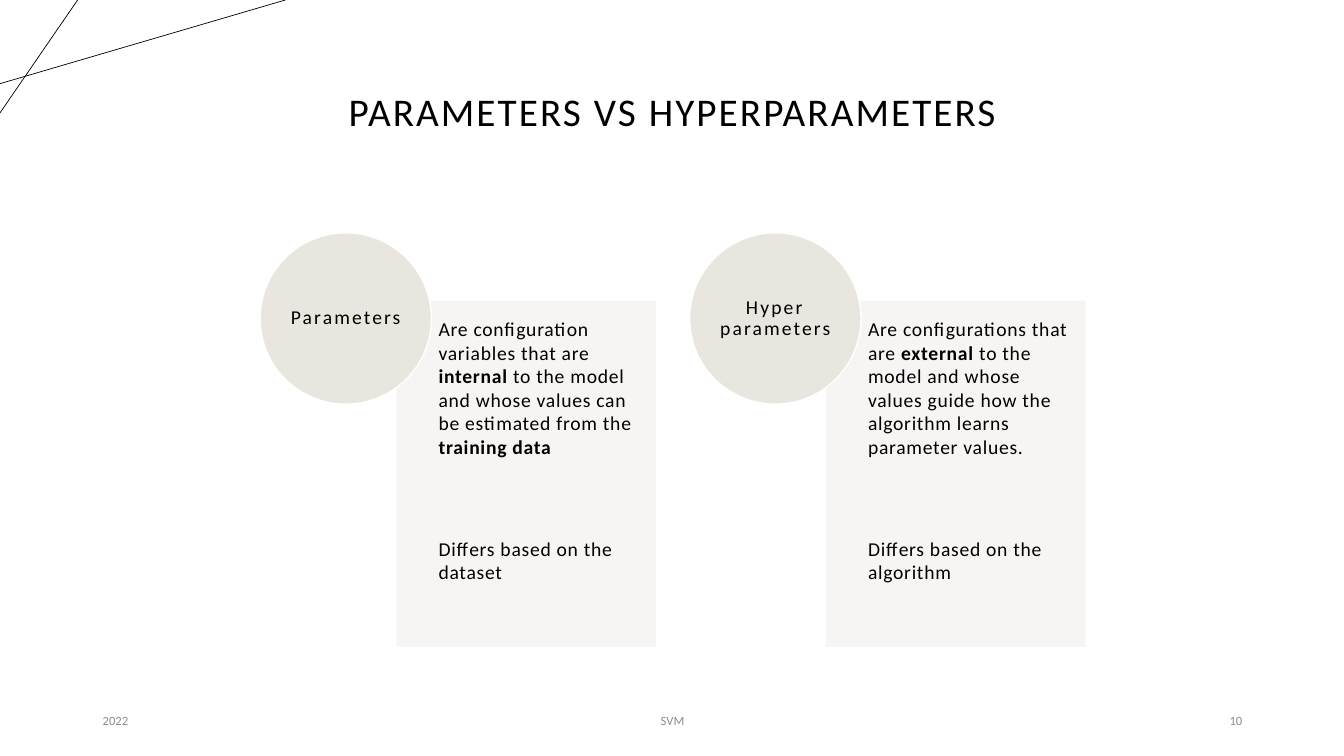
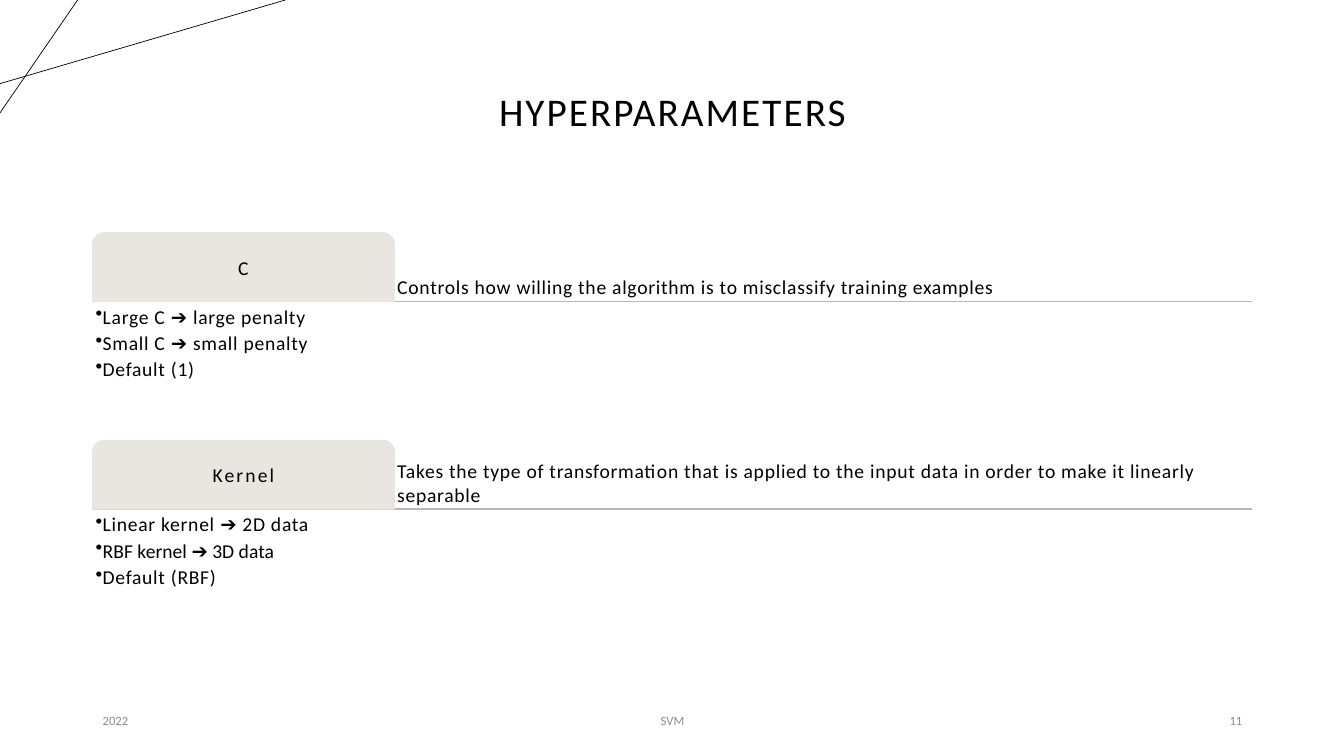
from lxml import etree
from pptx import Presentation
from pptx.dml.color import RGBColor
from pptx.enum.shapes import MSO_CONNECTOR, MSO_SHAPE
from pptx.enum.text import MSO_ANCHOR, PP_ALIGN
from pptx.oxml.ns import qn
from pptx.util import Inches, Pt

STRAIGHT = MSO_CONNECTOR.STRAIGHT
RECTANGLE, OVAL = MSO_SHAPE.RECTANGLE, MSO_SHAPE.OVAL
TAB = MSO_SHAPE.ROUND_2_SAME_RECTANGLE
TOP, MIDDLE, BOTTOM = MSO_ANCHOR.TOP, MSO_ANCHOR.MIDDLE, MSO_ANCHOR.BOTTOM
LEFT, CENTER, RIGHT = PP_ALIGN.LEFT, PP_ALIGN.CENTER, PP_ALIGN.RIGHT

BLACK = RGBColor(0x00, 0x00, 0x00)
WHITE = RGBColor(0xFF, 0xFF, 0xFF)
GRAY = RGBColor(0x8C, 0x8C, 0x8C)
RULE = RGBColor(0xBB, 0xB8, 0xB3)
SAND = RGBColor(0xE9, 0xE6, 0xDF)
PALE = RGBColor(0xF7, 0xF5, 0xF3)

FONT = "Calibri"
BODY_SIZE = 14
BODY_SPACING, LABEL_SPACING = 0.5, 1.5
MARGIN, CONTENT_WIDTH = 0.92, 11.5
CONTENT_TOP = 2.31
TEXT_INSETS = (0.03, 0.03, 0.03, 0.03)
DEFAULT_INSETS = (0.1, 0.05, 0.1, 0.05)


def format_run(run, size, color, spacing, bold=False):
    """Apply font, size, colour and letter spacing to a run."""
    run.font.name = FONT
    run.font.size = Pt(size)
    run.font.color.rgb = color
    run.font.bold = bold
    run.font._element.set("spc", str(round(spacing * 100)))


def write_paragraph(paragraph, text, size=BODY_SIZE, color=BLACK, spacing=BODY_SPACING,
                    align=LEFT, line_spacing=1.0):
    """Write one paragraph, with the parts between asterisks in bold."""
    paragraph.alignment = align
    paragraph.line_spacing = line_spacing
    for index, part in enumerate(text.split("*")):
        if part:
            run = paragraph.add_run()
            run.text = part
            format_run(run, size, color, spacing, bold=index % 2 == 1)


def prepare_frame(shape, anchor, insets):
    """Set wrapping, anchor and insets, and return the text frame."""
    frame = shape.text_frame
    frame.word_wrap = True
    frame.vertical_anchor = anchor
    (frame.margin_left, frame.margin_top,
     frame.margin_right, frame.margin_bottom) = map(Inches, insets)
    return frame


def add_text(slide, box, text, anchor=MIDDLE, insets=DEFAULT_INSETS, **style):
    """Add a text box holding one paragraph."""
    shape = slide.shapes.add_textbox(*map(Inches, box))
    write_paragraph(prepare_frame(shape, anchor, insets).paragraphs[0], text, **style)


def add_block(slide, kind, box, text, fill, line, insets, **style):
    """Add a filled shape with one paragraph and return it."""
    shape = slide.shapes.add_shape(kind, *map(Inches, box))
    shape.shadow.inherit = False
    shape.fill.solid()
    shape.fill.fore_color.rgb = fill
    shape.line.color.rgb = line
    shape.line.width = Pt(1)
    write_paragraph(prepare_frame(shape, MIDDLE, insets).paragraphs[0], text, **style)
    return shape


def add_line(slide, start, end, color, width):
    """Add a straight line without a shadow."""
    line = slide.shapes.add_connector(STRAIGHT, *map(Inches, start + end))
    line.line.color.rgb = color
    line.line.width = Pt(width)
    etree.SubElement(line._element.spPr, qn("a:effectLst"))


def add_slide(presentation, title, number):
    """Add a slide with the corner lines, title and footer."""
    slide = presentation.slides.add_slide(presentation.slide_layouts[6])
    add_line(slide, (0, 0.83), (2.83, 0), BLACK, 0.5)
    add_line(slide, (0.77, 0), (0, 1.12), BLACK, 0.5)
    add_text(slide, (MARGIN, 0.4, CONTENT_WIDTH, 1.45), title, size=28,
             spacing=LABEL_SPACING, align=CENTER, line_spacing=0.9)
    for left, width, text, align in ((MARGIN, 3, "2022", LEFT),
                                     (4.42, 4.5, "SVM", CENTER),
                                     (9.42, 3, str(number), RIGHT)):
        add_text(slide, (left, 6.95, width, 0.4), text, size=9, color=GRAY,
                 spacing=0, align=align)
    return slide


def add_comparison_card(slide, left, top, label, statements):
    """Add stacked panels with a labelled circle over their corner."""
    height = 1.71
    for row, statement in enumerate(statements):
        box = (left + 1.36, top + 0.68 + row * height, 2.56, height)
        panel = add_block(slide, RECTANGLE, box, statement, PALE, PALE,
                          (0.41, 0.11, 0.11, 0.11))
        for color in panel._element.spPr.iter(qn("a:srgbClr")):
            etree.SubElement(color, qn("a:alpha"), val="90000")
    add_block(slide, OVAL, (left, top, 1.7, 1.7), label, SAND, WHITE, (0, 0, 0, 0),
              spacing=LABEL_SPACING, align=CENTER, line_spacing=0.9)


def add_bullets(slide, box, bullets):
    """Add a bulleted list of texts with their letter spacing."""
    shape = slide.shapes.add_textbox(*map(Inches, box))
    frame = prepare_frame(shape, TOP, TEXT_INSETS)
    frame.text = "\n" * (len(bullets) - 1)
    for paragraph, (text, spacing) in zip(frame.paragraphs, bullets):
        write_paragraph(paragraph, text, spacing=spacing)
        paragraph.level = 1
        paragraph.space_after = Pt(2.1)
        properties = paragraph._p.get_or_add_pPr()
        properties.set("marL", "0")
        properties.set("indent", str(-Inches(0.12)))
        etree.SubElement(properties, qn("a:buChar"), char="•")


def add_setting(slide, left, top, label, summary, bullets):
    """Add a labelled tab on a rule with its summary and bullets."""
    tab_width, tab_height = 2.99, 0.68
    rule_top = top + tab_height
    add_line(slide, (left, rule_top), (left + CONTENT_WIDTH, rule_top), RULE, 1)
    add_text(slide, (left + tab_width, top, CONTENT_WIDTH - tab_width, tab_height),
             summary, anchor=BOTTOM, insets=TEXT_INSETS)
    add_block(slide, TAB, (left, top, tab_width, tab_height), label, SAND, SAND,
              TEXT_INSETS, spacing=LABEL_SPACING, align=CENTER, line_spacing=0.9)
    add_bullets(slide, (left, rule_top, CONTENT_WIDTH, 1.35), bullets)


def build_comparison(presentation):
    """Build the slide comparing parameters with hyperparameters."""
    slide = add_slide(presentation, "PARAMETERS VS HYPERPARAMETERS", 10)
    cards = (
        ("Parameters",
         ("Are configuration variables that are *internal* to the model and whose "
          "values can be estimated from the *training data*",
          "Differs based on the dataset")),
        ("Hyper parameters",
         ("Are configurations that are *external* to the model and whose values "
          "guide how the algorithm learns parameter values.",
          "Differs based on the algorithm")),
    )
    for column, (label, statements) in enumerate(cards):
        add_comparison_card(slide, 2.58 + column * 4.26, CONTENT_TOP, label, statements)


def build_settings(presentation):
    """Build the slide explaining each hyperparameter."""
    slide = add_slide(presentation, "HYPERPARAMETERS", 11)
    settings = (
        ("C", "Controls how willing the algorithm is to misclassify training examples",
         (("Large C ➔ large penalty", BODY_SPACING),
          ("Small C ➔ small penalty", BODY_SPACING),
          ("Default (1)", BODY_SPACING))),
        ("Kernel", "Takes the type of transformation that is applied to the input data "
                   "in order to make it linearly separable",
         (("Linear kernel ➔ 2D data", BODY_SPACING),
          ("RBF kernel ➔ 3D data", 0),
          ("Default (RBF)", BODY_SPACING))),
    )
    for row, (label, summary, bullets) in enumerate(settings):
        add_setting(slide, MARGIN, CONTENT_TOP + row * 2.06, label, summary, bullets)


def main():
    """Build and save the presentation."""
    presentation = Presentation()
    presentation.slide_width = Inches(13.33)
    presentation.slide_height = Inches(7.5)
    build_comparison(presentation)
    build_settings(presentation)
    presentation.save("out.pptx")


if __name__ == "__main__":
    main()
